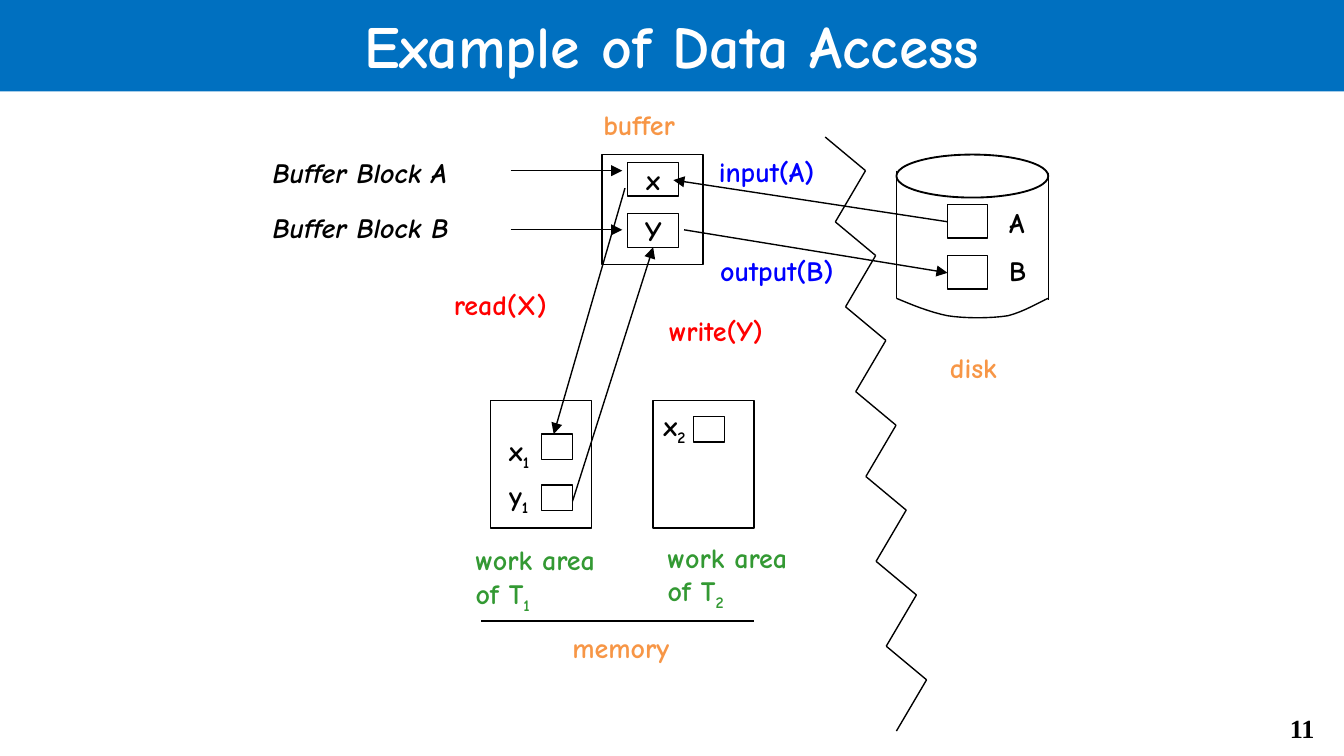
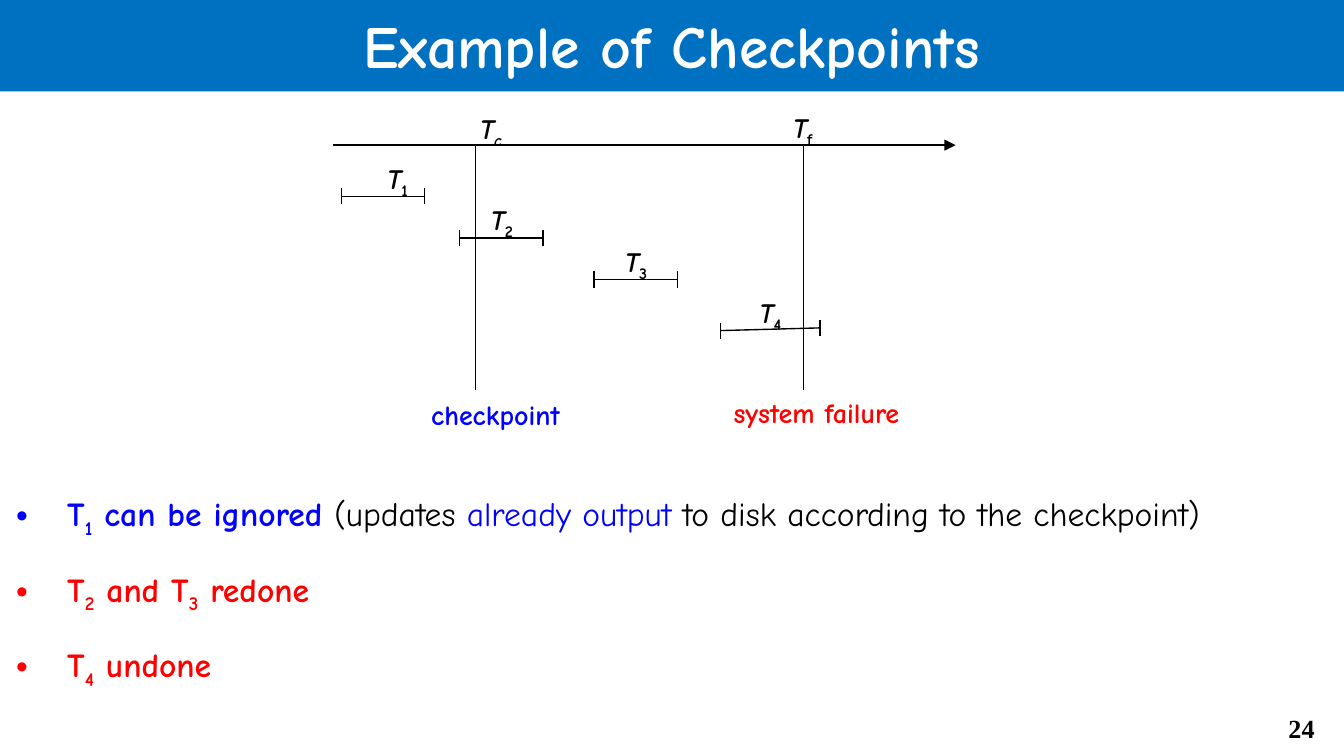
from dataclasses import dataclass, replace
from itertools import pairwise

from lxml.etree import SubElement
from pptx import Presentation
from pptx.dml.color import RGBColor
from pptx.enum.shapes import MSO_CONNECTOR as Connector, MSO_SHAPE as Preset
from pptx.enum.text import MSO_ANCHOR as Anchor, MSO_AUTO_SIZE as AutoSize, PP_ALIGN as Align
from pptx.oxml.ns import qn
from pptx.util import Inches, Pt

# Shared look
FONT = "Comic Neue"
BLACK, WHITE, BAND = "000000", "FFFFFF", "0070C0"
BLUE, RED, ORANGE, GREEN = "0000FF", "FF0000", "F79646", "339933"
LABEL_SIZE = 15
LABEL_HEIGHT = 0.35


def rgb(value):
    return RGBColor.from_string(value)


@dataclass(frozen=True)
class Run:
    text: str
    color: str = BLACK
    size: int = LABEL_SIZE
    bold: bool = True
    italic: bool = False
    sub: bool = False
    font: str = FONT

    def then(self, text, **changes):
        return replace(self, text=text, **changes)


def add_runs(paragraph, runs):
    for item in runs:
        run = paragraph.add_run()
        run.text = item.text
        run.font.name = item.font
        run.font.size = Pt(item.size)
        run.font.bold = item.bold
        run.font.italic = item.italic
        run.font.color.rgb = rgb(item.color)
        if item.sub:
            run._r.get_or_add_rPr().set("baseline", "-25000")


def indexed(name, index, index_italic=False, **style):
    """A name followed by its subscript."""
    base = Run(name, **style)
    return [base, base.then(index, sub=True, italic=index_italic)]


@dataclass
class Region:
    """A part of a slide; all its lengths are inches from its top left corner."""
    slide: object
    left: float = 0
    top: float = 0

    def point(self, x, y):
        return Inches(self.left + x), Inches(self.top + y)

    def outline(self, shape, width=0.75):
        shape.fill.background()
        shape.line.color.rgb = rgb(BLACK)
        shape.line.width = Pt(width)
        shape.shadow.inherit = False
        return shape

    def box(self, x, y, width, height, preset=Preset.RECTANGLE, line_width=0.75):
        shape = self.slide.shapes.add_shape(
            preset, *self.point(x, y), Inches(width), Inches(height))
        return self.outline(shape, line_width)

    def line(self, start, end, arrow=False):
        connector = self.slide.shapes.add_connector(
            Connector.STRAIGHT, *self.point(*start), *self.point(*end))
        connector.line.color.rgb = rgb(BLACK)
        connector.line.width = Pt(0.75)
        if arrow:
            SubElement(connector.line._get_or_add_ln(), qn("a:tailEnd"), type="triangle")
        SubElement(connector._element.spPr, qn("a:effectLst"))

    def label(self, x, y, width, *lines, height=LABEL_HEIGHT, align=Align.LEFT):
        shape = self.slide.shapes.add_textbox(
            *self.point(x, y), Inches(width), Inches(height))
        frame = shape.text_frame
        frame.word_wrap = True
        for number, runs in enumerate(lines):
            paragraph = frame.add_paragraph() if number else frame.paragraphs[0]
            paragraph.alignment = align
            add_runs(paragraph, runs)


def add_slide(presentation, layout, title, number):
    slide = presentation.slides.add_slide(presentation.slide_layouts[layout])
    # Title band
    band = slide.shapes.title
    band.left, band.top, band.width, band.height = map(Inches, (0, -0.02, 10, 0.7))
    band.fill.solid()
    band.fill.fore_color.rgb = rgb(BAND)
    frame = band.text_frame
    frame.auto_size = AutoSize.NONE
    frame.vertical_anchor = Anchor.MIDDLE
    paragraph = frame.paragraphs[0]
    paragraph.alignment = Align.CENTER
    add_runs(paragraph, [Run(title, WHITE, 32)])
    # Page number
    page = Run(str(number), size=14, font="Times New Roman")
    Region(slide, 9.25, 5.25).label(0, 0, 0.63, [page], align=Align.RIGHT)
    return slide


# Data access diagram

def draw_buffer(region):
    region.box(0, 0, 0.75, 0.82)
    region.label(-0.09, -0.4, 1.08, [Run("buffer", ORANGE)])
    for row, (item, block) in enumerate([("x", "A"), ("Y", "B")]):
        shape = region.box(0.19, 0.06 + 0.38 * row, 0.38, 0.25)
        frame = shape.text_frame
        frame.word_wrap = True
        frame.vertical_anchor = Anchor.MIDDLE
        frame.paragraphs[0].alignment = Align.CENTER
        add_runs(frame.paragraphs[0], [Run(item)])
        region.label(-2.55, -0.04 + 0.41 * row, 2, [Run(f"Buffer Block {block}", italic=True)])
        arrow_y = 0.12 + 0.44 * row
        region.line((-0.68, arrow_y), (0.15, arrow_y), arrow=True)


def curve_points(start, first, second, end, steps=8):
    for step in range(1, steps + 1):
        t = step / steps
        weights = ((1 - t) ** 3, 3 * t * (1 - t) ** 2, 3 * t * t * (1 - t), t ** 3)
        yield tuple(sum(weight * point[axis] for weight, point
                        in zip(weights, (start, first, second, end))) for axis in (0, 1))


def draw_disk(region):
    width = 1.13
    region.box(0, 0, width, 0.32, Preset.OVAL, line_width=1)
    region.line((0, 0.12), (0, 1.07))
    region.line((width, 0.14), (width, 1.08))
    # Rounded bottom
    knots = [(0, 1.07), (0.12, 1.12), (0.24, 1.17), (0.38, 1.2), (0.51, 1.22),
             (0.7, 1.22), (0.83, 1.2), (0.95, 1.17), (1.08, 1.09), (width, 1.07)]
    builder = region.slide.shapes.build_freeform(*region.point(*knots[0]))
    bottom = [point for first in range(0, len(knots) - 1, 3)
              for point in curve_points(*knots[first:first + 4])]
    builder.add_line_segments([region.point(*point) for point in bottom], close=False)
    region.outline(builder.convert_to_shape())
    # Stored blocks
    for row, name in enumerate("AB"):
        region.box(0.38, 0.37 + 0.38 * row, 0.3, 0.25)
        region.label(0.74, 0.33 + 0.36 * row, 0.39, [Run(name)])
    region.label(0.3, 1.41, 0.94, [Run("disk", ORANGE)])


def draw_work_area(region, index, caption, variables):
    region.box(0, 0, 0.75, 0.95)
    for name, cell, label in variables:
        region.box(*cell, 0.23, 0.19)
        region.label(*label, 0.48, indexed(name, index))
    region.label(*caption, 1.3, [Run("work area", GREEN)],
                 indexed("of T", index, color=GREEN), height=0.62)


def draw_memory_line(region):
    region.line((0, 0), (2.03, 0))
    region.label(0.58, 0.02, 0.97, [Run("memory", ORANGE)])


def draw_transfers(region):
    transfers = [
        ("input(A)", BLUE, (1.13, 0), (2.93, 0.55), (0.89, 0.24)),
        ("output(B)", BLUE, (1.14, 0.74), (0.97, 0.61), (2.93, 0.93)),
        ("read(X)", RED, (-0.84, 0.99), (0.53, 0.3), (0, 2.13)),
        ("write(Y)", RED, (0.76, 1.18), (0.14, 2.63), (0.74, 0.74)),
    ]
    for name, color, position, start, end in transfers:
        region.line(start, end, arrow=True)
        region.label(*position, 1.2, [Run(name, color)])


def draw_zigzag(region, teeth=7, width=0.53, height=4.42):
    corners = []
    for tooth in range(teeth):
        x, y = width * tooth / teeth, height * tooth / teeth
        corners += [(x, y), (x + 0.3, y + 0.25)]
    for start, end in pairwise(corners + [(width, height)]):
        region.line(start, end)


def build_data_access(presentation):
    slide = add_slide(presentation, 5, "Example of Data Access", 11)
    draw_buffer(Region(slide, 4.48, 1.15))
    draw_disk(Region(slide, 6.67, 1.15))
    draw_work_area(Region(slide, 3.65, 2.98), "1", (-0.21, 1.01), [
        ("x", (0.38, 0.25), (0.04, 0.2)), ("y", (0.38, 0.63), (0.04, 0.53))])
    draw_work_area(Region(slide, 4.86, 2.98), "2", (0.01, 0.99), [
        ("x", (0.3, 0.12), (-0.02, 0.01))])
    draw_memory_line(Region(slide, 3.58, 4.62))
    draw_transfers(Region(slide, 4.12, 1.1))
    draw_zigzag(Region(slide, 6.14, 1.02))


# Checkpoint timeline

def draw_tick(region, x, y):
    region.line((x, y - 0.06), (x, y + 0.06))


def draw_transaction(region, index, label_x, end):
    region.line((0, 0), end)
    draw_tick(region, 0, 0)
    draw_tick(region, *end)
    region.label(label_x, -0.31, 0.43, indexed("T", index, italic=True))


def draw_timeline(region):
    region.line((0, 0), (4.63, 0), arrow=True)
    # Marked moments
    moments = [
        (1.06, "c", True, (0.99, -0.3), "checkpoint", BLUE, (0.63, 1.83)),
        (3.5, "f", False, (3.32, -0.31), "system failure", RED, (2.88, 1.81)),
    ]
    for x, index, italic, name_at, event, color, event_at in moments:
        region.line((x, 0), (x, 1.82))
        region.label(*name_at, 0.42, indexed("T", index, italic, italic=True))
        region.label(*event_at, 1.66, [Run(event, color)])
    # Transactions
    short = (0.62, 0)
    transactions = [(0.06, 0.38, 0.24, short), (0.94, 0.69, 0.13, short),
                    (1.94, 1.0, 0.13, short), (2.88, 1.38, 0.19, (0.74, -0.02))]
    for number, (x, y, label_x, end) in enumerate(transactions, 1):
        bar = Region(region.slide, region.left + x, region.top + y)
        draw_transaction(bar, str(number), label_x, end)
    draw_tick(region, 3.5, 1.38)


def fill_outcomes(body):
    body.left, body.top, body.width, body.height = map(Inches, (0.02, 3.45, 10.08, 1.65))
    frame = body.text_frame
    frame.auto_size = AutoSize.NONE
    blue, red = Run("T", BLUE, 18), Run("T", RED, 18)
    plain = blue.then("", bold=False)
    outcomes = [
        [blue, blue.then("1", sub=True), blue.then(" can be ignored "),
         plain.then("(updates ", color=BLACK), plain.then("already output "),
         plain.then("to disk according to the checkpoint)", color=BLACK)],
        [red, red.then("2", sub=True), red.then(" and T"),
         red.then("3", sub=True), red.then(" redone")],
        [red, red.then("4", sub=True), red.then(" undone")],
    ]
    for number, runs in enumerate(outcomes):
        paragraph = frame.add_paragraph() if number else frame.paragraphs[0]
        paragraph.line_spacing = 1.5
        paragraph.space_before = Pt(3.6)
        properties = paragraph._p.get_or_add_pPr()
        properties.set("marL", str(Inches(0.38)))
        properties.set("indent", str(-Inches(0.38)))
        SubElement(properties, qn("a:buChar"), char="•")
        add_runs(paragraph, runs)


def build_checkpoints(presentation):
    slide = add_slide(presentation, 1, "Example of Checkpoints", 24)
    fill_outcomes(slide.placeholders[1])
    draw_timeline(Region(slide, 2.48, 1.08))


def main():
    presentation = Presentation()
    # Widescreen, 16 to 9
    presentation.slide_width = Inches(10)
    presentation.slide_height = Inches(10 * 9 / 16)
    build_data_access(presentation)
    build_checkpoints(presentation)
    presentation.save("out.pptx")


if __name__ == "__main__":
    main()
